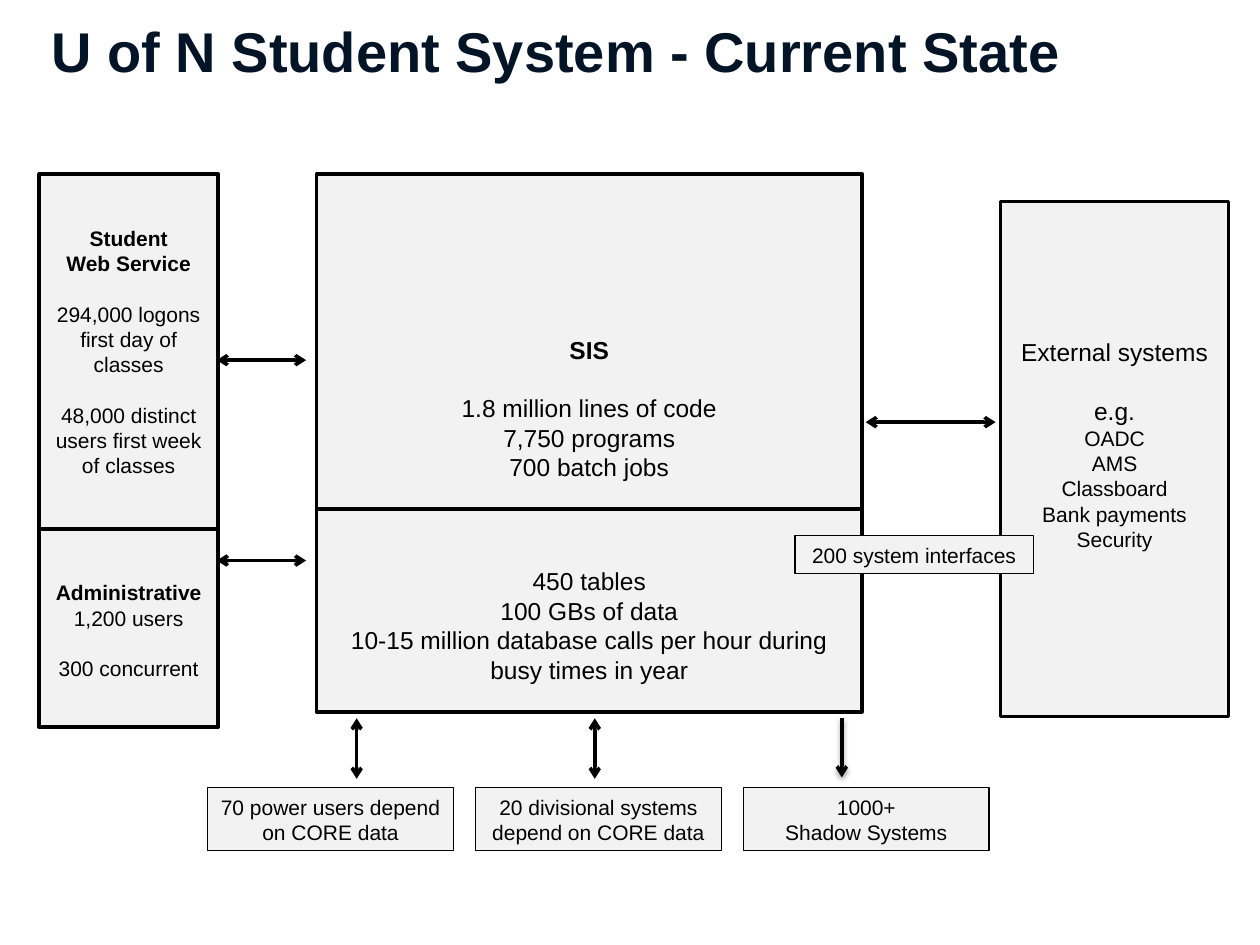
from lxml import etree
from pptx import Presentation
from pptx.dml.color import RGBColor
from pptx.enum.shapes import MSO_CONNECTOR, MSO_SHAPE
from pptx.enum.text import MSO_ANCHOR, PP_ALIGN
from pptx.oxml.ns import qn
from pptx.util import Cm, Pt

RECT, LINE = MSO_SHAPE.RECTANGLE, MSO_CONNECTOR.STRAIGHT
MID, TOP = MSO_ANCHOR.MIDDLE, MSO_ANCHOR.TOP
LEFT, CENTER = PP_ALIGN.LEFT, PP_ALIGN.CENTER

THEME = {
    "font": "Arial", "ink": RGBColor(0, 0, 0),
    "title": RGBColor(0x04, 0x14, 0x27), "fill": RGBColor(0xF2, 0xF2, 0xF2),
    "head": 32, "large": 14, "small": 12, "lead": 1.2,
    "thick": 2, "thin": 0.75,
}
LARGE, SMALL = THEME["large"], THEME["small"]


def write(frame, rows, size=SMALL, color=THEME["ink"], align=CENTER,
          anchor=MID, above=0, below=0):
    """Each row is text or (text, format); above, below and gap count lines."""
    lead = size * THEME["lead"]
    frame.word_wrap = True
    frame.vertical_anchor = anchor
    frame.margin_left = frame.margin_right = Cm(0.25)
    frame.margin_top = Cm(0.13) + Pt(above * lead)
    frame.margin_bottom = Cm(0.13) + Pt(below * lead)
    for i, row in enumerate(rows):
        words, form = (row, {}) if isinstance(row, str) else row
        para = frame.paragraphs[0] if i == 0 else frame.add_paragraph()
        para.alignment = align
        points = form.get("size", size)
        para.line_spacing = Pt(points * THEME["lead"])
        para.space_before = Pt(form.get("gap", 0) * lead)
        run = para.add_run()
        run.text = words
        run.font.name = THEME["font"]
        run.font.size = Pt(points)
        run.font.bold = form.get("bold", False)
        run.font.color.rgb = color


def arrow(x1, y1, x2, y2, both=True, shade=False):
    link = deck.shapes.add_connector(LINE, Cm(x1), Cm(y1), Cm(x2), Cm(y2))
    link.line.color.rgb = THEME["ink"]
    link.line.width = Pt(THEME["thick"])
    stroke = link.line._get_or_add_ln()
    for end in ["headEnd", "tailEnd"] if both else ["tailEnd"]:
        etree.SubElement(stroke, qn("a:" + end), type="arrow")
    effect = etree.SubElement(link._element.spPr, qn("a:effectLst"))
    if shade:
        cast = etree.SubElement(effect, qn("a:outerShdw"), blurRad=str(Pt(3.1)),
                                dist=str(Pt(1.6)), dir="5400000", rotWithShape="0")
        tint = etree.SubElement(cast, qn("a:srgbClr"), val=str(THEME["ink"]))
        etree.SubElement(tint, qn("a:alpha"), val="38000")


show = Presentation()
show.slide_width, show.slide_height = Cm(25.4), Cm(19.05)
deck = show.slides.add_slide(show.slide_layouts[6])

# Title
title = deck.shapes.add_textbox(Cm(0.79), Cm(0.2), Cm(23.57), Cm(2.24))
write(title.text_frame, [("U of N Student System - Current State", {"bold": True})],
      size=THEME["head"], color=THEME["title"], align=LEFT, anchor=TOP)

# Main blocks: place, rows, text format
bold = {"bold": True}
gap = {"gap": 1}
small = {"size": SMALL}
blocks = [
    ((6.38, 3.51, 11, 10.03),
     [("SIS", bold), ("1.8 million lines of code", gap),
      "7,750 programs", "700 batch jobs"],
     {"size": LARGE, "below": 1}),
    ((20.17, 4.06, 4.6, 10.39),
     ["External systems", ("e.g.", gap), ("OADC", small), ("AMS", small),
      ("Classboard", small), ("Bank payments", small), ("Security", small)],
     {"size": LARGE, "below": 1}),
    ((0.79, 3.51, 3.61, 7.16),
     [("Student", bold), ("Web Service", bold),
      ("294,000 logons first day of classes", gap),
      ("48,000 distinct users first week of classes", gap)], {}),
    ((0.79, 10.67, 3.61, 3.99),
     [("Administrative", bold), "1,200 users", ("300 concurrent", gap)],
     {"above": 2.17, "below": 2}),
    ((6.38, 10.26, 11, 4.09),
     ["450 tables", "100 GBs of data",
      "10-15 million database calls per hour during busy times in year"],
     {"size": LARGE, "above": 1}),
]

# Thin labels: interfaces, then the row of data users
labels = [((16.03, 10.8, 4.8, 0.76), ["200 system interfaces"], {"anchor": TOP})]
users = [["70 power users depend on CORE data"],
         ["20 divisional systems depend on CORE data"],
         ["1000+", "Shadow Systems"]]
for i, rows in enumerate(users):
    labels.append(((4.19 + 5.4 * i, 15.88, 4.95, 1.27), rows, {"anchor": TOP}))

for group, width in [(blocks, THEME["thick"]), (labels, THEME["thin"])]:
    for place, rows, form in group:
        box = deck.shapes.add_shape(RECT, *[Cm(v) for v in place])
        box.shadow.inherit = False
        box.fill.solid()
        box.fill.fore_color.rgb = THEME["fill"]
        box.line.color.rgb = THEME["ink"]
        box.line.width = Pt(width)
        write(box.text_frame, rows, **form)

# Arrows across
arrow(17.45, 8.51, 20.07, 8.51)
for y in [7.26, 11.3]:
    arrow(4.37, y, 6.17, y)

# Arrows down to the data users
for x in [7.19, 11.99]:
    arrow(x, 14.48, x, 15.7)
arrow(16.97, 14.48, 16.97, 15.67, both=False, shade=True)

show.save("out.pptx")
